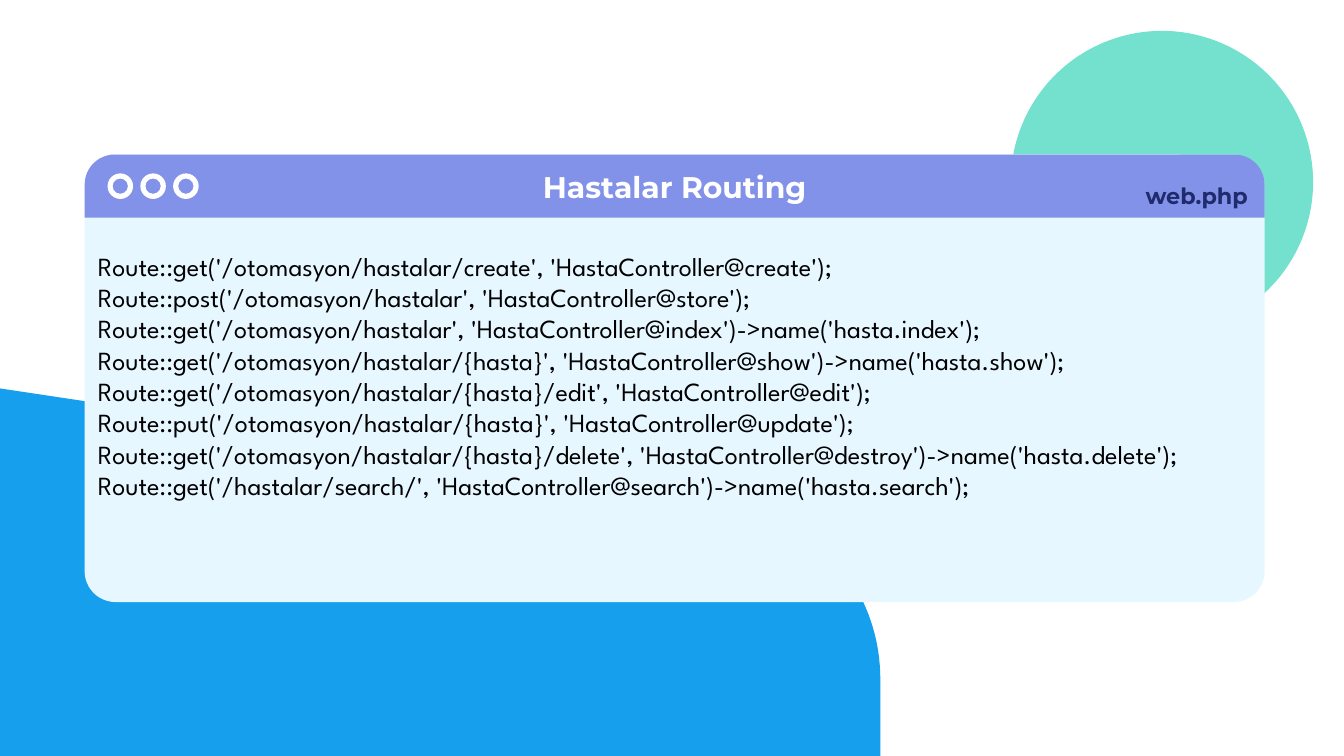
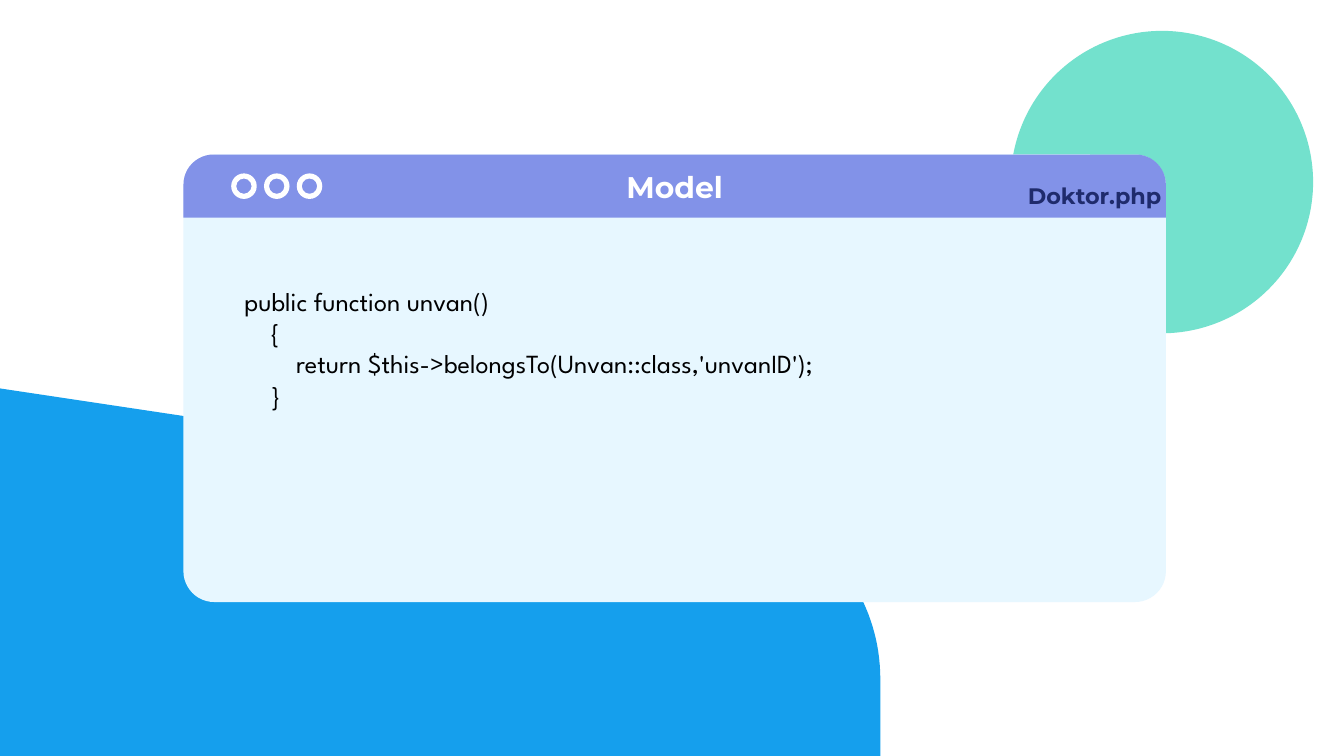
from pptx import Presentation
from pptx.dml.color import RGBColor
from pptx.enum.shapes import MSO_SHAPE
from pptx.enum.text import MSO_ANCHOR, PP_ALIGN
from pptx.util import Inches, Pt

OVAL, DONUT = MSO_SHAPE.OVAL, MSO_SHAPE.DONUT
ROUND, TOP_ROUND = MSO_SHAPE.ROUNDED_RECTANGLE, MSO_SHAPE.ROUND_2_SAME_RECTANGLE
LEFT, CENTER = PP_ALIGN.LEFT, PP_ALIGN.CENTER
TOP, MIDDLE = MSO_ANCHOR.TOP, MSO_ANCHOR.MIDDLE

COLORS = {
    "mint": "73E1CD", "blue": "159FED", "pane": "E7F7FF", "bar": "8292E8",
    "navy": "1F2B6C", "white": "FFFFFF", "black": "000000",
}
HEAD, CODE = "Montserrat", "League Spartan"

# The grid has 100 columns across the slide; its cells are square.
WIDTH, HEIGHT = Inches(10), Inches(5.625)
CELL = WIDTH // 100
ROWS = HEIGHT / CELL
MID = 50.2
PANE_TOP, PANE_HIGH, BAR_HIGH = 11.5, 33.3, 4.7
RING, RING_STEP, RING_TOP = 1.9, 2.44, 12.9

ROUTES = [
    "Route::get('/otomasyon/hastalar/create', 'HastaController@create');",
    "Route::post('/otomasyon/hastalar', 'HastaController@store');",
    "Route::get('/otomasyon/hastalar', 'HastaController@index')->name('hasta.index');",
    "Route::get('/otomasyon/hastalar/{hasta}', 'HastaController@show')->name('hasta.show');",
    "Route::get('/otomasyon/hastalar/{hasta}/edit', 'HastaController@edit');",
    "Route::put('/otomasyon/hastalar/{hasta}', 'HastaController@update');",
    "Route::get('/otomasyon/hastalar/{hasta}/delete', 'HastaController@destroy')->name('hasta.delete');",
    "Route::get('/hastalar/search/', 'HastaController@search')->name('hasta.search');",
]
MODEL = [
    "public function unvan()",
    "    {",
    "        return $this->belongsTo(Unvan::class,'unvanID');",
    "    }",
]


def grid(*cells):
    return [round(cell * CELL) for cell in cells]


def color(name):
    return RGBColor.from_string(COLORS[name])


def paint(shape, name):
    shape.shadow.inherit = False
    shape.fill.solid()
    shape.fill.fore_color.rgb = color(name)
    shape.line.fill.background()


def add_form(slide, kind, box, name, *adjust):
    shape = slide.shapes.add_shape(kind, *grid(*box))
    for i, value in enumerate(adjust):
        shape.adjustments[i] = value
    paint(shape, name)


def add_text(slide, box, lines, font, size, name, bold=False,
             align=CENTER, anchor=MIDDLE):
    frame = slide.shapes.add_textbox(*grid(*box)).text_frame
    frame.word_wrap = True
    frame.vertical_anchor = anchor
    frame.margin_left = frame.margin_right = Inches(0.1)
    frame.margin_top = frame.margin_bottom = Inches(0.1)
    for i, line in enumerate(lines):
        para = frame.add_paragraph() if i else frame.paragraphs[0]
        para.alignment = align
        run = para.add_run()
        run.text = line
        run.font.name, run.font.size, run.font.bold = font, Pt(size), bold
        run.font.color.rgb = color(name)


def curve(a, b, c, d, steps=40):
    """Points of a cubic Bezier curve from a to d."""
    points = []
    for i in range(steps + 1):
        t = i / steps
        u = 1 - t
        points.append(tuple(
            u**3 * p + 3 * u * u * t * q + 3 * u * t * t * r + t**3 * s
            for p, q, r, s in zip(a, b, c, d)))
    return points


def add_backdrop(slide):
    add_form(slide, OVAL, (75.2, 2.3, 22.5, 22.5), "mint")
    bend = curve((65.5, 50.5), (65.5, 43.8), (60.5, 38), (53.9, 37))
    points = [grid(*p) for p in [(0, ROWS), (65.5, ROWS)] + bend]
    hill = slide.shapes.build_freeform(*grid(0, 28.9))
    hill.add_line_segments(points, close=True)
    paint(hill.convert_to_shape(), "blue")


def add_window(slide, wide, title, rings):
    left = MID - wide / 2
    add_form(slide, ROUND, (left, PANE_TOP, wide, PANE_HIGH), "pane", 0.069)
    add_form(slide, TOP_ROUND, (left, PANE_TOP, wide, BAR_HIGH), "bar", 0.476, 0)
    for i in range(3):
        add_form(slide, DONUT, (rings + i * RING_STEP, RING_TOP, RING, RING),
                 "white", 0.2)
    add_text(slide, (MID - 12.75, PANE_TOP, 25.5, BAR_HIGH), [title],
             HEAD, 16, "white", bold=True)


def add_page(deck, wide, title, rings, file, tag, code, area):
    slide = deck.slides.add_slide(deck.slide_layouts[6])
    add_backdrop(slide)
    add_window(slide, wide, title, rings)
    add_text(slide, area, code, CODE, 14, "black", align=LEFT, anchor=TOP)
    add_text(slide, tag, [file], HEAD, 12, "navy", bold=True)


def main():
    deck = Presentation()
    deck.slide_width, deck.slide_height = WIDTH, HEIGHT
    add_page(deck, 87.8, "Hastalar Routing", 8, "web.php",
             (83.4, 12.9, 11.3, 3.3), ROUTES, (6.3, 17.6, 87.8, 26.6))
    add_page(deck, 73.1, "Model", 17.2, "Doktor.php",
             (75.2, 12.9, 12.5, 3.3), MODEL, (17.2, 20.2, 65.9, 22.7))
    deck.save("out.pptx")


if __name__ == "__main__":
    main()
